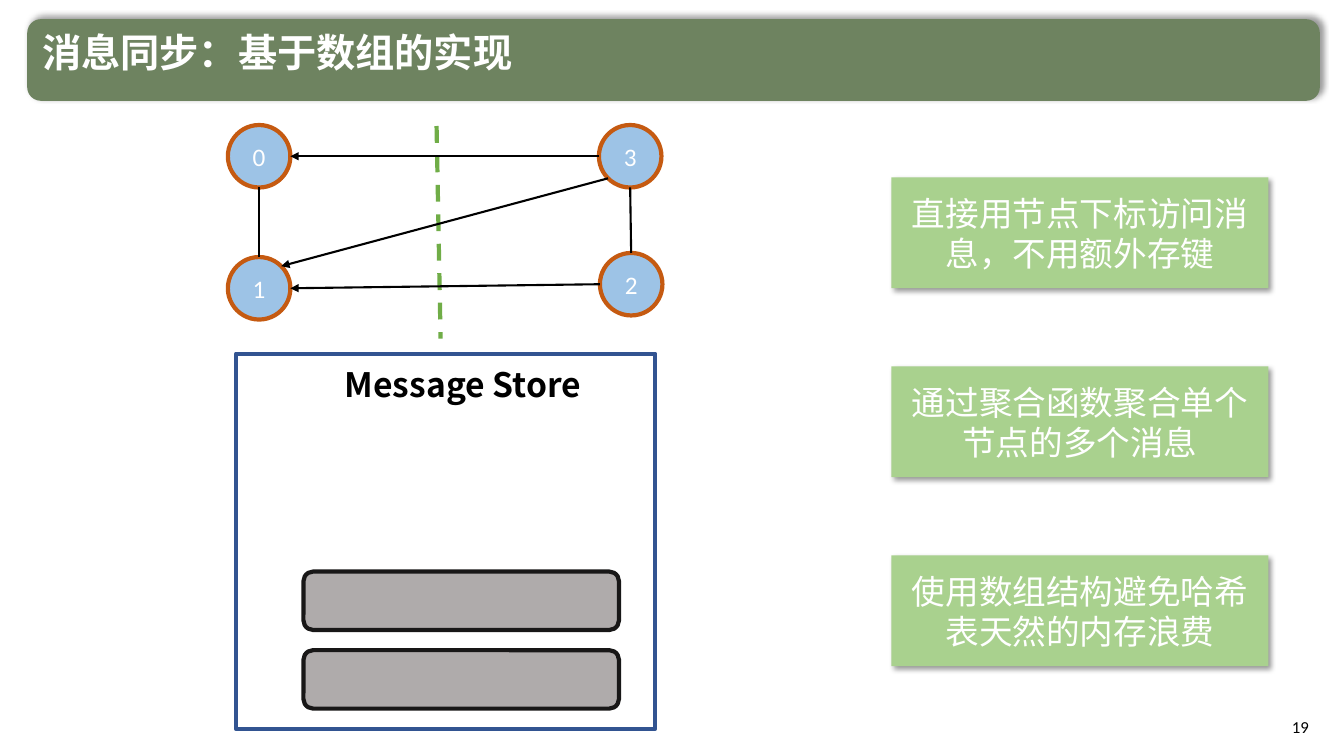
"""Build the slide on array-based message synchronisation."""
import math
from dataclasses import dataclass

import pptx
import pptx.dml.color
import pptx.enum.dml
import pptx.enum.shapes
import pptx.enum.text
import pptx.oxml
import pptx.oxml.ns
import pptx.util

Inches, Pt = pptx.util.Inches, pptx.util.Pt
SHAPE = pptx.enum.shapes.MSO_SHAPE
ALIGN = pptx.enum.text.PP_ALIGN
ANCHOR = pptx.enum.text.MSO_ANCHOR
qn = pptx.oxml.ns.qn

TITLE = "消息同步：基于数组的实现"
STORE_TITLE = "Message Store"
PAGE = "19"
NOTES = [
    "直接用节点下标访问消息，不用额外存键",
    "通过聚合函数聚合单个节点的多个消息",
    "使用数组结构避免哈希表天然的内存浪费",
]
NODES = {"0": (2.57, 1.55), "1": (2.57, 2.86), "2": (6.26, 2.82), "3": (6.25, 1.55)}
EDGES = [
    ("1", 90, "0", 270, False),
    ("2", 90, "3", 270, False),
    ("2", 180, "1", 0, True),
    ("3", 225, "1", 45, True),
    ("3", 180, "0", 0, True),
]
RADIUS = 0.31
STORE = (2.34, 3.51, 4.16, 3.72)
SLOT_COUNT, SLOT_TOP, SLOT_STEP = 2, 5.67, 0.78
NOTE_TOP, NOTE_STEP = 1.76, 1.875


@dataclass(frozen=True)
class Theme:
    """Colours, fonts and sizes."""
    bar: str = "6E8360"
    store: str = "325491"
    slot: str = "AFABAB"
    slot_line: str = "181717"
    note: str = "A9D18E"
    node: str = "9DC3E6"
    node_line: str = "C55A11"
    divider: str = "70AD47"
    light: str = "FFFFFF"
    dark: str = "000000"
    cjk: str = "Noto Sans CJK SC"
    latin: str = "Calibri"
    title_pt: int = 28
    body_pt: int = 24
    node_pt: int = 18
    page_pt: int = 12
    thick: float = 3
    thin: float = 1.5


T = Theme()


def rgb(value):
    """Return a colour from its hex value."""
    return pptx.dml.color.RGBColor.from_string(value)


def drawing_element(xml):
    """Return a DrawingML element."""
    return pptx.oxml.parse_xml(xml.replace(" ", " " + pptx.oxml.ns.nsdecls("a") + " ", 1))


def write(sp, text, size, font, color, align=ALIGN.CENTER, anchor=ANCHOR.MIDDLE, bold=False):
    """Write one paragraph into a shape."""
    tf = sp.text_frame
    tf.word_wrap = True
    tf.vertical_anchor = anchor
    p = tf.paragraphs[0]
    p.alignment = align
    r = p.add_run()
    r.text = text
    r.font.name, r.font.size, r.font.bold = font, Pt(size), bold
    r.font.color.rgb = rgb(color)
    r.font.fill
    r.font.language_id = None
    latin = r._r.rPr.find(qn("a:latin"))
    latin.addnext(drawing_element(f'<a:ea typeface="{font}"/>'))
    return p


def add_box(s, kind, box, fill=None, line=None, shadow=None):
    """Add a preset shape, with a shadow falling at the given angle."""
    sp = s.shapes.add_shape(kind, *map(Inches, box))
    sp.shadow.inherit = False
    if fill:
        sp.fill.solid()
        sp.fill.fore_color.rgb = rgb(fill)
    else:
        sp.fill.background()
    if line:
        sp.line.color.rgb = rgb(line)
        sp.line.width = Pt(T.thick)
    else:
        sp.line.fill.background()
    if shadow is not None:
        sp.element.spPr.find(qn("a:effectLst")).append(drawing_element(
            f'<a:outerShdw blurRad="{Pt(4)}" dist="{Pt(3)}" dir="{shadow * 60000}" '
            f'algn="ctr" rotWithShape="0"><a:srgbClr val="{T.dark}">'
            '<a:alpha val="40000"/></a:srgbClr></a:outerShdw>'))
    return sp


def add_line(s, start, end, color, width, arrow=False, dashed=False):
    """Add a straight connector."""
    c = s.shapes.add_connector(
        pptx.enum.shapes.MSO_CONNECTOR.STRAIGHT, *map(Inches, (*start, *end)))
    c.line.color.rgb = rgb(color)
    c.line.width = Pt(width)
    if dashed:
        c.line.dash_style = pptx.enum.dml.MSO_LINE.DASH
    if arrow:
        c.element.spPr.find(qn("a:ln")).append(drawing_element('<a:tailEnd type="triangle"/>'))
    c.element.spPr.append(drawing_element("<a:effectLst />"))


def rim(node, angle):
    """Return the point on a node's rim at an angle in degrees."""
    x, y = NODES[node]
    a = math.radians(angle)
    return x + RADIUS * math.cos(a), y - RADIUS * math.sin(a)


def add_header(s):
    """Add the title bar, title and page number."""
    bar = add_box(s, SHAPE.ROUNDED_RECTANGLE, (0.27, 0.19, 12.82, 0.81), T.bar, shadow=315)
    title = s.shapes.title
    title.left, title.top, title.width, title.height = map(Inches, (0.32, 0.28, 11.07, 0.62))
    title.element.addprevious(bar.element)
    title.text_frame.auto_size = pptx.enum.text.MSO_AUTO_SIZE.NONE
    p = write(title, TITLE, T.title_pt, T.cjk, T.light, ALIGN.LEFT, ANCHOR.TOP, True)
    p.line_spacing = 0.9
    page = s.shapes.add_textbox(*map(Inches, (12.29, 7.01, 0.79, 0.4)))
    write(page, PAGE, T.page_pt, T.latin, T.dark, ALIGN.RIGHT)


def add_store(s):
    """Add the message store and its slots."""
    add_box(s, SHAPE.RECTANGLE, STORE, line=T.store)
    label = s.shapes.add_textbox(*map(Inches, (2.84, 3.56, 3.5, 0.5)))
    write(label, STORE_TITLE, T.body_pt, T.cjk, T.dark, anchor=ANCHOR.TOP, bold=True)
    for i in range(SLOT_COUNT):
        add_box(s, SHAPE.ROUNDED_RECTANGLE, (3.01, SLOT_TOP + i * SLOT_STEP, 3.13, 0.58),
                T.slot, T.slot_line)


def add_graph(s):
    """Add the partitioned graph."""
    for name, (x, y) in NODES.items():
        sp = add_box(s, SHAPE.OVAL, (x - RADIUS, y - RADIUS, 2 * RADIUS, 2 * RADIUS),
                     T.node, T.node_line)
        write(sp, name, T.node_pt, T.latin, T.light)
    add_line(s, (4.33, 1.25), (4.37, 3.36), T.divider, T.thick, dashed=True)
    for source, out, target, into, arrow in EDGES:
        add_line(s, rim(source, out), rim(target, into), T.dark, T.thin, arrow)


def main():
    """Build and save the slide."""
    prs = pptx.Presentation()
    prs.slide_width, prs.slide_height = Inches(13.33), Inches(7.5)
    s = prs.slides.add_slide(prs.slide_layouts[5])
    add_header(s)
    add_store(s)
    for i, text in enumerate(NOTES):
        sp = add_box(s, SHAPE.RECTANGLE, (8.84, NOTE_TOP + i * NOTE_STEP, 3.74, 1.1),
                     T.note, shadow=45)
        write(sp, text, T.body_pt, T.cjk, T.light)
    add_graph(s)
    prs.save("out.pptx")


if __name__ == "__main__":
    main()
